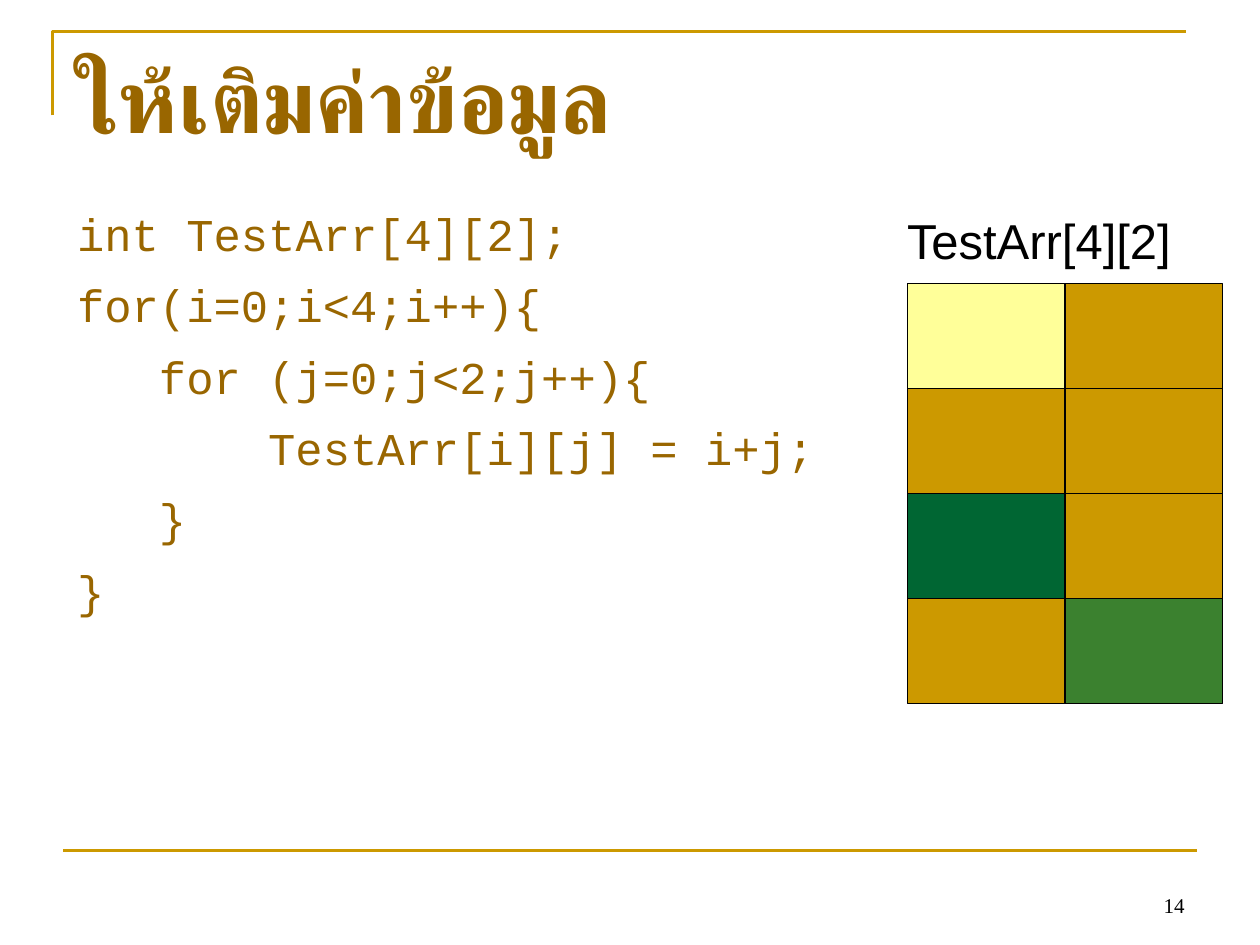
from lxml import etree
from pptx import Presentation
from pptx.dml.color import RGBColor
from pptx.enum.shapes import MSO_CONNECTOR, MSO_SHAPE
from pptx.enum.text import MSO_ANCHOR, MSO_AUTO_SIZE, PP_ALIGN
from pptx.oxml.ns import qn
from pptx.util import Pt

RECT = MSO_SHAPE.RECTANGLE
LINE = MSO_CONNECTOR.STRAIGHT
LEFT, RIGHT = PP_ALIGN.LEFT, PP_ALIGN.RIGHT
TOP, BOTTOM = MSO_ANCHOR.TOP, MSO_ANCHOR.BOTTOM
FIT = MSO_AUTO_SIZE.SHAPE_TO_FIT_TEXT

COLORS = {
    "gold": "CC9900",
    "brown": "996600",
    "black": "000000",
    "cream": "FFFF99",
    "pine": "006633",
    "leaf": "3B812F",
}


class Deck:
    def __init__(self, slide):
        self.slide = slide
        self.shapes = slide.shapes
        self.rule = 1.5
        self.edge = 0.75

    def color(self, name):
        return RGBColor.from_string(COLORS[name])

    def stroke(self, shape, name, width):
        shape.line.color.rgb = self.color(name)
        shape.line.width = Pt(width)

    def line(self, x1, y1, x2, y2):
        line = self.shapes.add_connector(LINE, Pt(x1), Pt(y1), Pt(x2), Pt(y2))
        self.stroke(line, "gold", self.rule)
        etree.SubElement(line._element.spPr, qn("a:effectLst"))

    def corner(self, points):
        start, *rest = [(Pt(x), Pt(y)) for x, y in points]
        form = self.shapes.build_freeform(*start)
        form.add_line_segments(rest, close=False)
        shape = form.convert_to_shape()
        shape.fill.background()
        shape.shadow.inherit = False
        self.stroke(shape, "gold", self.rule)

    def text(self, box, lines, size, font, color, bold=False, wrap=True,
             align=LEFT, anchor=TOP, space=None, before=0):
        shape = self.shapes.add_textbox(*map(Pt, box))
        frame = shape.text_frame
        frame.word_wrap = wrap
        frame.vertical_anchor = anchor
        if not wrap:
            frame.auto_size = FIT
        for i, (indent, words) in enumerate(lines):
            para = frame.add_paragraph() if i else frame.paragraphs[0]
            para.alignment = align
            para.line_spacing = space
            para.space_before = Pt(before)
            if indent:
                para._p.get_or_add_pPr().set("marL", str(Pt(indent)))
            run = para.add_run()
            run.text = words
            run.font.size = Pt(size)
            run.font.name = font
            run.font.bold = bold
            run.font.color.rgb = self.color(color)
        return shape

    def grid(self, left, top, wide, high, rows):
        group = self.shapes.add_group_shape()
        for r, row in enumerate(rows):
            for c, name in enumerate(row):
                cell = group.shapes.add_shape(
                    RECT, Pt(left + c * wide), Pt(top + r * high),
                    Pt(wide), Pt(high))
                cell.shadow.inherit = False
                cell.fill.solid()
                cell.fill.fore_color.rgb = self.color(name)
                self.stroke(cell, "black", self.edge)


def main():
    show = Presentation()
    show.slide_width, show.slide_height = Pt(720), Pt(540)
    deck = Deck(show.slides.add_slide(show.slide_layouts[6]))

    deck.corner([(30, 66), (30, 18), (678, 18)])
    deck.line(36, 486, 684, 486)

    title = deck.text((36, 21.6, 648, 75), [(0, "ให้เติมค่าข้อมูล")],
                      51, "Arial", "brown", bold=True)
    props = title.text_frame.paragraphs[0].runs[0].font._element
    etree.SubElement(props, qn("a:cs")).set("typeface", "Times New Roman")

    size = 26
    step = size * 0.6
    code = [
        (0, "int TestArr[4][2];"),
        (0, "for(i=0;i<4;i++){"),
        (3, "for (j=0;j<2;j++){"),
        (7, "TestArr[i][j] = i+j;"),
        (3, "}"),
        (0, "}"),
    ]
    deck.text((37, 111, 496, 332), [(n * step, words) for n, words in code],
              size, "Courier New", "brown", space=1.1, before=6.5)

    deck.grid(518.5, 162, 90, 60, [
        ("cream", "gold"),
        ("gold", "gold"),
        ("pine", "gold"),
        ("gold", "leaf"),
    ])
    deck.text((511.2, 116.6, 186.5, 41), [(0, "TestArr[4][2]")],
              28, "Arial", "black", wrap=False)
    deck.text((516, 492, 168, 36), [(0, "14")], 12, "Times New Roman",
              "black", align=RIGHT, anchor=BOTTOM)

    show.save("out.pptx")


if __name__ == "__main__":
    main()
